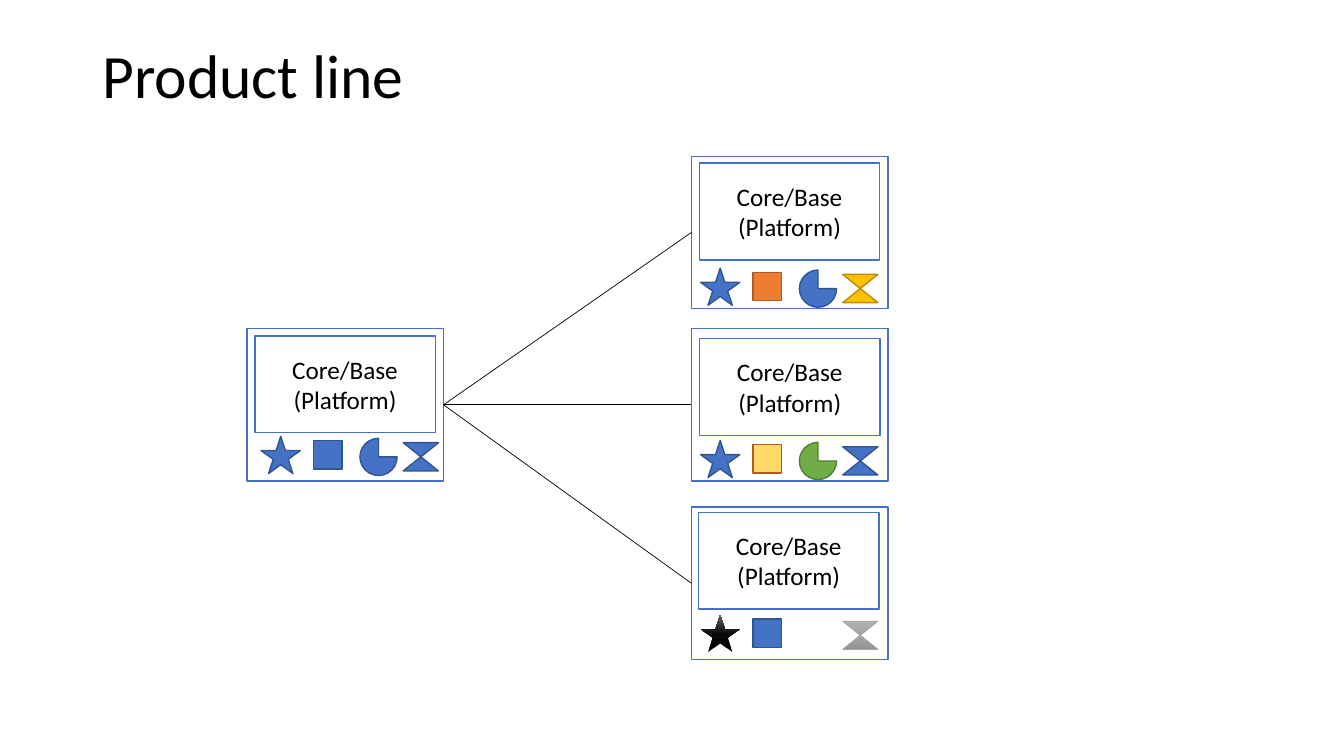
import pptx
import pptx.util
import pptx.dml.color
import pptx.enum.shapes
import pptx.enum.text
import pptx.oxml
import pptx.oxml.ns

Pt = pptx.util.Pt
SHAPE = pptx.enum.shapes.MSO_SHAPE
ANCHOR = pptx.enum.text.MSO_ANCHOR
ALIGN = pptx.enum.text.PP_ALIGN

# Content
TITLE = "Product line"
CORE = "Core/Base (Platform)"
FONT = "Calibri"

# Feature: preset shape, offset from the star, size
FEATURES = {
    "star": (SHAPE.STAR_5_POINT, 0, 0, 28.1, 26.6),
    "square": (SHAPE.RECTANGLE, 37.6, 3, 20.2, 20.2),
    "pie": (SHAPE.PIE, 70.6, 1.4, 26.6, 26.6),
    "collate": (SHAPE.FLOWCHART_COLLATE, 101.5, 4.5, 25.2, 20.2),
}

# Variant: fill (colour, or gradient stops and clockwise angle), line, line width
VARIANTS = {
    "blue": ("4472C4", "325491", 1),
    "orange": ("ED7D31", "AF5C24", 1),
    "yellow": ("FFD966", "AF5C24", 1),
    "green": ("70AD47", "538035", 1),
    "gold": ("FFC000", "BD8E00", 1),
    "black": (([(0, "000000"), (48, "080808"), (100, "666666")], 270), None, 0),
    "gray": (([(0, "AFAFAF"), (50, "A5A5A5"), (100, "939393")], 90), "A5A5A5", 0.5),
}

# Product: left, top, core offset, star offset, features
PRODUCTS = [
    (176.4, 234.7, (5.6, 5.2), (10.1, 77),
     dict(star="blue", square="blue", pie="blue", collate="blue")),
    (493.9, 111.6, (5.6, 5), (6.5, 79.9),
     dict(star="blue", square="orange", pie="blue", collate="gold")),
    (493.9, 234.7, (5.8, 7.2), (6.5, 79.9),
     dict(star="blue", square="yellow", pie="green", collate="blue")),
    (493.9, 362.2, (5, 3.8), (6.5, 77),
     dict(star="black", square="blue", collate="gray")),
]
FRAME_SIZE = (140.4, 108.9)
CORE_SIZE = (128.9, 69.1)

deck = pptx.Presentation()
deck.slide_width, deck.slide_height = Pt(960), Pt(540)
slide = deck.slides.add_slide(deck.slide_layouts[5])


def color(value):
    return pptx.dml.color.RGBColor.from_string(value)


def write(shape, text, size, align=ALIGN.LEFT, anchor=ANCHOR.TOP, spacing=1.0):
    frame = shape.text_frame
    frame.word_wrap = True
    frame.auto_size = pptx.enum.text.MSO_AUTO_SIZE.NONE
    frame.vertical_anchor = anchor
    frame.text = text
    paragraph = frame.paragraphs[0]
    paragraph.alignment = align
    paragraph.line_spacing = spacing
    paragraph.font.name = FONT
    paragraph.font.size = Pt(size)
    paragraph.font.color.rgb = color("000000")


def fill_gradient(fill, stops, angle):
    fill.gradient()
    fill.gradient_angle = 360 - angle
    stop_list = fill._fill._gradFill.gsLst
    for old in list(stop_list):
        stop_list.remove(old)
    for position, value in stops:
        stop_list.append(pptx.oxml.parse_xml(
            f'<a:gs {pptx.oxml.ns.nsdecls("a")} pos="{position * 1000}">'
            f'<a:srgbClr val="{value}"/></a:gs>'))


def add_part(preset, left, top, width, height, fill, line, weight=1):
    part = slide.shapes.add_shape(preset, Pt(left), Pt(top), Pt(width), Pt(height))
    part.shadow.inherit = False
    if isinstance(fill, str):
        part.fill.solid()
        part.fill.fore_color.rgb = color(fill)
    else:
        fill_gradient(part.fill, *fill)
    if line:
        part.line.color.rgb = color(line)
        part.line.width = Pt(weight)
    else:
        part.line.fill.background()
    return part


# Title
title = slide.shapes.title
title.left, title.top, title.width, title.height = Pt(66), Pt(28.8), Pt(828), Pt(104.4)
write(title, TITLE, 44, spacing=0.9)

# Product frames
frames = [add_part(SHAPE.RECTANGLE, left, top, *FRAME_SIZE, "FFFFFF", "4472C4")
          for left, top, *_ in PRODUCTS]

# Lines from the platform to each derived product
platform, *derived = frames
for product in derived:
    link = slide.shapes.add_connector(pptx.enum.shapes.MSO_CONNECTOR.STRAIGHT, 0, 0, 0, 0)
    link.begin_connect(platform, 3)
    link.end_connect(product, 1)
    link.line.color.rgb = color("000000")
    link.line.width = Pt(0.5)
    link._element.spPr.append(
        pptx.oxml.parse_xml(f'<a:effectLst {pptx.oxml.ns.nsdecls("a")}/>'))

# Core and features inside each frame
for left, top, (core_x, core_y), (star_x, star_y), features in PRODUCTS:
    core = add_part(SHAPE.RECTANGLE, left + core_x, top + core_y, *CORE_SIZE,
                    "FFFFFF", "4472C4")
    write(core, CORE, 18, align=ALIGN.CENTER, anchor=ANCHOR.MIDDLE)
    for feature, variant in features.items():
        preset, dx, dy, width, height = FEATURES[feature]
        add_part(preset, left + star_x + dx, top + star_y + dy, width, height,
                 *VARIANTS[variant])

deck.save("out.pptx")
